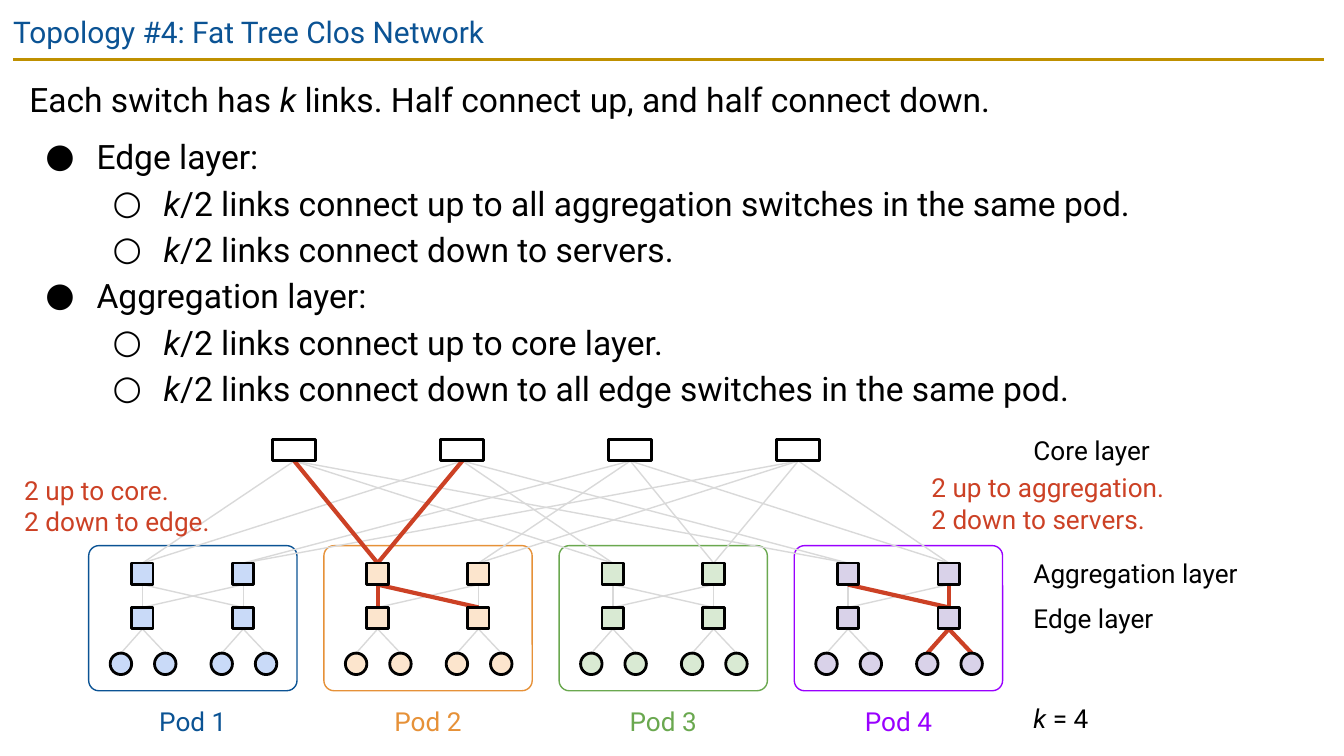
import pptx
import pptx.dml.color
import pptx.enum.shapes
import pptx.enum.text
import pptx.oxml.ns
import pptx.util
from lxml import etree

Inches = pptx.util.Inches
Pt = pptx.util.Pt
SHAPE = pptx.enum.shapes.MSO_SHAPE

SLIDE_WIDTH = 10
FONT = "Roboto"
BLACK, WHITE, GREY, RED, BLUE = "000000", "FFFFFF", "D9D9D9", "CC4125", "0B5394"
PODS = [(BLUE, "C9DAF8"), ("E69138", "FCE5CD"), ("6AA84F", "D9EAD3"), ("9900FF", "D9D2E9")]
POD_LEFT, POD_PITCH, POD_WIDTH = 0.66, 1.75, 1.55
SWITCH_PITCH = 0.75
NODE = 0.16
CORE_TOP, AGGREGATION_TOP, EDGE_TOP, SERVER_TOP = 3.27, 4.19, 4.52, 4.86
SERVER_OFFSETS = (-0.16, 0.17)

BODY = [
    (None, [("Each switch has ", False), ("k", True),
            (" links. Half connect up, and half connect down.", False)]),
    (0, [("Edge layer:", False)]),
    (1, [("k", True), ("/2 links connect up to all aggregation switches in the same pod.", False)]),
    (1, [("k", True), ("/2 links connect down to servers.", False)]),
    (0, [("Aggregation layer:", False)]),
    (1, [("k", True), ("/2 links connect up to core layer.", False)]),
    (1, [("k", True), ("/2 links connect down to all edge switches in the same pod.", False)]),
]


def rgb(color):
    return pptx.dml.color.RGBColor.from_string(color)


def add_frame(slide, left, top, width, height, inset):
    frame = slide.shapes.add_textbox(
        Inches(left), Inches(top), Inches(width), Inches(height)).text_frame
    frame.word_wrap = True
    frame.margin_left = frame.margin_right = Inches(inset)
    frame.margin_top = frame.margin_bottom = Inches(inset)
    return frame


def add_run(paragraph, text, size, color, italic=False):
    run = paragraph.add_run()
    run.text = text
    run.font.name = FONT
    run.font.size = Pt(size)
    run.font.italic = italic
    run.font.color.rgb = rgb(color)


def add_label(slide, left, top, width, lines, color=BLACK, centered=False):
    frame = add_frame(slide, left, top, width, 0.07 + 0.23 * len(lines), 0.03)
    frame.auto_size = pptx.enum.text.MSO_AUTO_SIZE.SHAPE_TO_FIT_TEXT
    for index, runs in enumerate(lines):
        paragraph = frame.add_paragraph() if index else frame.paragraphs[0]
        if centered:
            paragraph.alignment = pptx.enum.text.PP_ALIGN.CENTER
        for text, italic in runs:
            add_run(paragraph, text, 14, color, italic)


def add_bullet(paragraph, level):
    paragraph.level = level
    properties = paragraph._p.get_or_add_pPr()
    properties.set("marL", str(Inches(0.5 * (level + 1))))
    properties.set("indent", str(Inches(-0.38)))
    typeface = etree.SubElement(properties, pptx.oxml.ns.qn("a:buFont"))
    typeface.set("typeface", FONT)
    bullet = etree.SubElement(properties, pptx.oxml.ns.qn("a:buChar"))
    bullet.set("char", "●○"[level])


def add_body(slide):
    frame = add_frame(slide, 0.12, 0.44, 9.74, 2.66, 0.1)
    for index, (level, runs) in enumerate(BODY):
        paragraph = frame.add_paragraph() if index else frame.paragraphs[0]
        if level is not None:
            add_bullet(paragraph, level)
        paragraph.line_spacing = 1.15
        paragraph.space_before = Pt(6 if index == 1 else 0)
        for text, italic in runs:
            add_run(paragraph, text, 18, BLACK, italic)


def add_line(slide, start, end, color, weight):
    line = slide.shapes.add_connector(
        pptx.enum.shapes.MSO_CONNECTOR.STRAIGHT, *map(Inches, start + end))
    line.line.color.rgb = rgb(color)
    line.line.width = Pt(weight)
    etree.SubElement(line._element.spPr, pptx.oxml.ns.qn("a:effectLst"))


def add_outline(slide, kind, left, top, width, height, color, weight, fill=None):
    shape = slide.shapes.add_shape(
        kind, Inches(left), Inches(top), Inches(width), Inches(height))
    shape.shadow.inherit = False
    shape.line.color.rgb = rgb(color)
    shape.line.width = Pt(weight)
    if fill:
        shape.fill.solid()
        shape.fill.fore_color.rgb = rgb(fill)
    else:
        shape.fill.background()
    return shape


def add_node(slide, kind, center, top, fill, width=NODE):
    add_outline(slide, kind, center - width / 2, top, width, NODE, BLACK, 1.5, fill)


def core_center(core):
    return 2.19 + 1.25 * core


def switch_center(pod, side):
    return POD_LEFT + 0.4 + POD_PITCH * pod + SWITCH_PITCH * side


def network_links():
    links = []
    for pod in range(len(PODS)):
        second, last = pod == 1, pod == 3
        for core in range(4):
            side = core // 2
            links.append(((core_center(core), CORE_TOP + NODE),
                          (switch_center(pod, side), AGGREGATION_TOP),
                          second and side == 0))
        for edge in range(2):
            center = switch_center(pod, edge)
            marked = last and edge == 1
            for aggregation in range(2):
                links.append(((switch_center(pod, aggregation), AGGREGATION_TOP + NODE),
                              (center, EDGE_TOP),
                              marked or (second and aggregation == 0)))
            for offset in SERVER_OFFSETS:
                links.append(((center, EDGE_TOP + NODE), (center + offset, SERVER_TOP), marked))
    return sorted(links, key=lambda link: link[2])


def add_network(slide):
    for pod, (color, _) in enumerate(PODS):
        left = POD_LEFT + POD_PITCH * pod
        border = add_outline(slide, SHAPE.ROUNDED_RECTANGLE, left, 4.06, POD_WIDTH, 1.08, color, 0.75)
        border.adjustments[0] = 0.07
        add_label(slide, left + 0.49, 5.22, 0.57, [[(f"Pod {pod + 1}", False)]], color, True)
    for start, end, marked in network_links():
        add_line(slide, start, end, RED if marked else GREY, 2.25 if marked else 0.75)
    for core in range(4):
        add_node(slide, SHAPE.RECTANGLE, core_center(core), CORE_TOP, WHITE, 2 * NODE)
    for pod, (_, fill) in enumerate(PODS):
        for side in range(2):
            center = switch_center(pod, side)
            for top in (AGGREGATION_TOP, EDGE_TOP):
                add_node(slide, SHAPE.RECTANGLE, center, top, fill)
            for offset in SERVER_OFFSETS:
                add_node(slide, SHAPE.OVAL, center + offset, SERVER_TOP, fill)


def main():
    presentation = pptx.Presentation()
    presentation.slide_width = Inches(SLIDE_WIDTH)
    presentation.slide_height = Inches(SLIDE_WIDTH * 9 / 16)
    slide = presentation.slides.add_slide(presentation.slide_layouts[6])

    add_line(slide, (0.1, 0.44), (9.85, 0.44), "BF9000", 1.5)
    title = add_frame(slide, 0, 0, SLIDE_WIDTH, 0.43, 0.1)
    add_run(title.paragraphs[0], "Topology #4: Fat Tree Clos Network", 16, BLUE)
    add_body(slide)
    add_network(slide)

    for top, width, text in [(3.2, 1, "Core layer"), (4.12, 1.66, "Aggregation layer"),
                             (4.45, 1, "Edge layer")]:
        add_label(slide, 7.66, top, width, [[(text, False)]])
    add_label(slide, 7.66, 5.2, 1, [[("k", True), (" = 4", False)]])
    add_label(slide, 0.15, 3.5, 1.49,
              [[("2 up to core.", False)], [("2 down to edge.", False)]], RED)
    add_label(slide, 6.9, 3.48, 1.83,
              [[("2 up to aggregation.", False)], [("2 down to servers.", False)]], RED)

    presentation.save("out.pptx")


if __name__ == "__main__":
    main()
